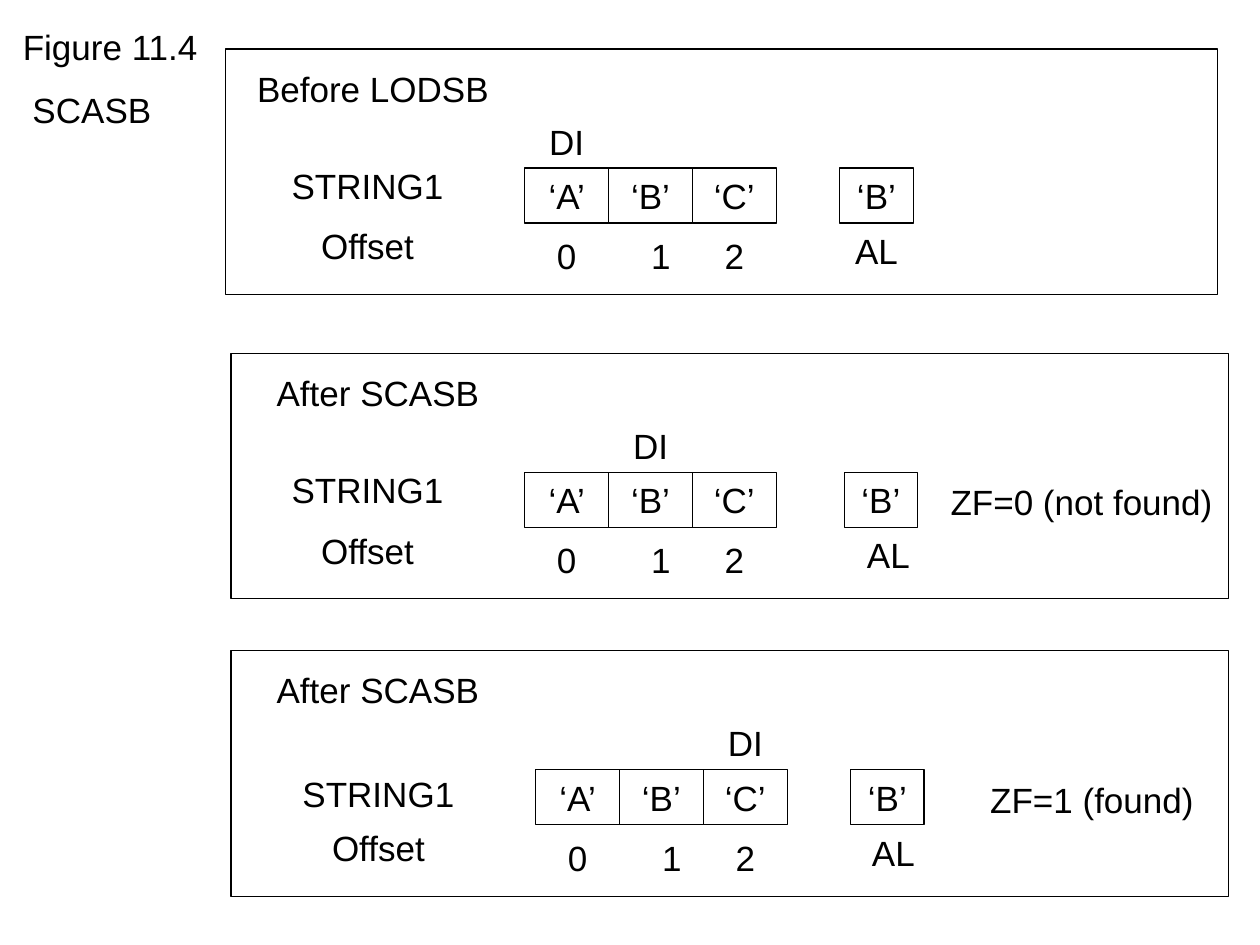
from dataclasses import dataclass
from pptx import Presentation
from pptx.dml.color import RGBColor
from pptx.enum.shapes import MSO_SHAPE as Shape
from pptx.enum.text import MSO_AUTO_SIZE as AutoSize, PP_ALIGN as Align
from pptx.util import Cm, Pt


@dataclass(frozen=True)
class Theme:
    ink: RGBColor = RGBColor(0, 0, 0)
    font: str = "Arial"
    size: Pt = Pt(20)
    before: Pt = Pt(12.5)
    line: Pt = Pt(0.75)


THEME = Theme()
HEADING = "Figure 11.4\n SCASB"
STRING = ["‘A’", "‘B’", "‘C’"]
DIGIT_SHIFTS = [0, 0.21, 0]
CELL_W, BOX_H, AL_W = 1.69, 1.11, 1.48
FRAME_H, LABEL_W, TITLE_W, FLAG_W = 4.95, 4.66, 5.72, 5.93

PANELS = [
    dict(title="Before LODSB", title_x=4.66, frame=(4.55, 20.0), top=3.39, cells_x=10.58,
         label_dy=-0.2, pointer=0, al_box_x=16.93, al_x=16.93, flag=None),
    dict(title="After SCASB", title_x=4.76, frame=(4.66, 20.11), top=9.52, cells_x=10.58,
         label_dy=-0.2, pointer=1, al_box_x=17.02, al_x=17.17, flag=("ZF=0 (not found)", 18.84)),
    dict(title="After SCASB", title_x=4.76, frame=(4.66, 20.11), top=15.52, cells_x=10.8,
         label_dy=-0.08, pointer=2, al_box_x=17.15, al_x=17.27, flag=("ZF=1 (found)", 19.05)),
]


def write(box, text, align=Align.CENTER):
    """Put styled text into a box."""
    frame = box.text_frame
    frame.text = text
    frame.word_wrap = True
    frame.auto_size = AutoSize.SHAPE_TO_FIT_TEXT
    for para in frame.paragraphs:
        para.alignment = align
        para.space_before = THEME.before
        for span in para.runs:
            span.font.name = THEME.font
            span.font.size = THEME.size
            span.font.color.rgb = THEME.ink


def add_label(page, text, x, y, width, height=BOX_H, align=Align.CENTER):
    """Add plain text without an outline."""
    box = page.shapes.add_textbox(Cm(x), Cm(y), Cm(width), Cm(height))
    write(box, text, align)


def add_outline(page, x, y, width, height, text=None):
    """Add an unfilled rectangle, with text if given."""
    box = page.shapes.add_shape(Shape.RECTANGLE, Cm(x), Cm(y), Cm(width), Cm(height))
    box.shadow.inherit = False
    box.fill.background()
    box.line.color.rgb = THEME.ink
    box.line.width = THEME.line
    if text:
        write(box, text)


def add_panel(page, panel):
    """Draw one state of the string, the pointer and the register."""
    top, left = panel["top"], panel["cells_x"]
    for index, (letter, shift) in enumerate(zip(STRING, DIGIT_SHIFTS)):
        x = left + index * CELL_W
        add_outline(page, x, top, CELL_W, BOX_H, letter)
        add_label(page, str(index), x + shift, top + 1.22, CELL_W)
    add_label(page, "STRING1", left - 5.5, top + panel["label_dy"], LABEL_W)
    add_label(page, "Offset", left - 5.5, top + 1.02, LABEL_W)
    add_label(page, panel["title"], panel["title_x"], top - 2.16, TITLE_W)
    add_label(page, "DI", left + 0.21 + panel["pointer"] * CELL_W, top - 1.09, 1.27)
    frame_x, frame_w = panel["frame"]
    add_outline(page, frame_x, top - 2.4, frame_w, FRAME_H)
    add_outline(page, panel["al_box_x"], top, AL_W, BOX_H, "‘B’")
    add_label(page, "AL", panel["al_x"], top + 1.12, AL_W)
    if panel["flag"]:
        text, x = panel["flag"]
        add_label(page, text, x, top + 0.04, FLAG_W)


def main():
    """Build and save the slide."""
    deck = Presentation()
    deck.slide_width, deck.slide_height = Cm(25.4), Cm(19.05)
    page = deck.slides.add_slide(deck.slide_layouts[6])
    add_label(page, HEADING, 0.21, 0.38, 4.23, 2.39, Align.LEFT)
    for panel in PANELS:
        add_panel(page, panel)
    deck.save("out.pptx")


if __name__ == "__main__":
    main()
